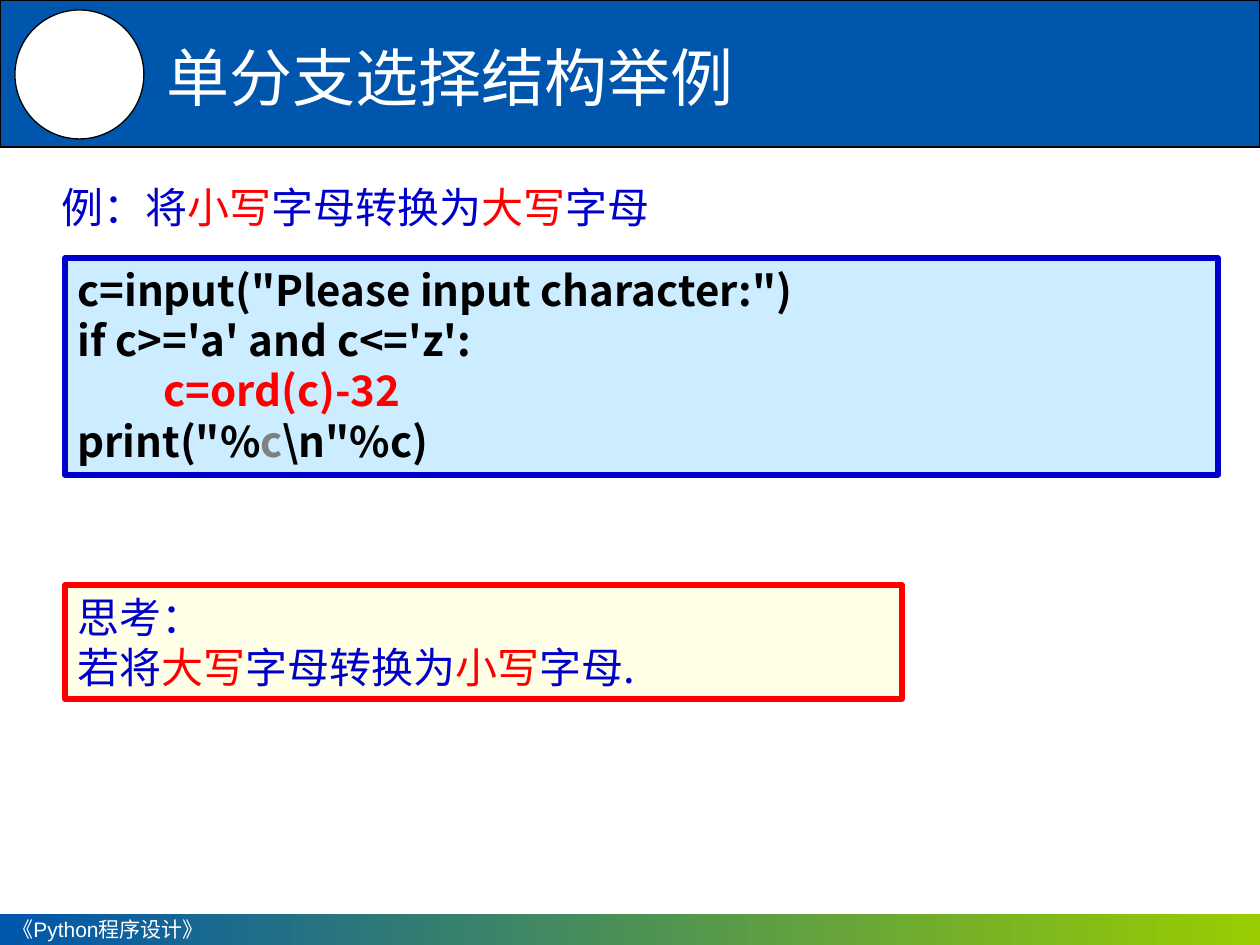
import pptx
import pptx.dml.color
import pptx.enum.shapes
import pptx.enum.text
import pptx.oxml
import pptx.oxml.ns
import pptx.util
from dataclasses import dataclass

SHAPES = pptx.enum.shapes.MSO_SHAPE
ANCHOR = pptx.enum.text.MSO_ANCHOR
PX = pptx.util.Inches(1) / 126


@dataclass(frozen=True)
class Theme:
    banner: str = "0056AC"
    green: str = "99CC00"
    white: str = "FFFFFF"
    black: str = "000000"
    blue: str = "0000CC"
    red: str = "FF0000"
    gray: str = "808080"
    code_fill: str = "CCECFF"
    question_fill: str = "FFFFE7"
    cjk_font: str = "Noto Sans CJK SC"
    latin_font: str = "Arial"
    title_size: int = 36
    body_size: int = 24
    footer_size: int = 12
    thin: float = 0.75
    thick: float = 3


def rgb(color):
    return pptx.dml.color.RGBColor.from_string(color)


class SlideBuilder:
    def __init__(self, slide, theme):
        self.slide = slide
        self.theme = theme

    def shape(self, kind, box, fill, line=None, width=0):
        """Add a preset shape; a pair of fill colours makes a gradient."""
        shape = self.slide.shapes.add_shape(kind, *(round(n * PX) for n in box))
        shape.shadow.inherit = False
        if isinstance(fill, tuple):
            shape.fill.gradient()
            shape.fill.gradient_angle = 0
            for stop, color in zip(shape.fill.gradient_stops, fill):
                stop.color.rgb = rgb(color)
        else:
            shape.fill.solid()
            shape.fill.fore_color.rgb = rgb(fill)
        if line:
            shape.line.color.rgb = rgb(line)
            shape.line.width = pptx.util.Pt(width)
        else:
            shape.line.fill.background()
        return shape

    def textbox(self, box):
        return self.slide.shapes.add_textbox(*(round(n * PX) for n in box))

    def set_text(self, shape, lines, size, font=None, bold=False,
                 anchor=ANCHOR.TOP, wrap=True):
        """Fill a shape with lines, each a list of (text, colour) runs."""
        frame = shape.text_frame
        for name, value in {"word_wrap": wrap, "vertical_anchor": anchor}.items():
            setattr(frame, name, value)
        run_format = {"size": pptx.util.Pt(size), "bold": bold,
                      "name": font or self.theme.cjk_font}
        for index, runs in enumerate(lines):
            paragraph = frame.add_paragraph() if index else frame.paragraphs[0]
            paragraph.alignment = pptx.enum.text.PP_ALIGN.LEFT
            for text, color in runs:
                run = paragraph.add_run()
                run.text = text
                for name, value in run_format.items():
                    setattr(run.font, name, value)
                run.font.color.rgb = rgb(color)
                east_asian = pptx.oxml.parse_xml(
                    f'<a:ea {pptx.oxml.ns.nsdecls("a")} '
                    f'typeface="{self.theme.cjk_font}"/>')
                run.font._element.append(east_asian)


def main():
    theme = Theme()
    presentation = pptx.Presentation()
    presentation.slide_width = pptx.util.Inches(10)
    presentation.slide_height = pptx.util.Inches(7.5)
    slide = presentation.slides.add_slide(presentation.slide_layouts[6])
    builder = SlideBuilder(slide, theme)
    blue, red, black = theme.blue, theme.red, theme.black

    builder.shape(SHAPES.RECTANGLE, (0, 0, 1260, 147), theme.banner,
                  black, theme.thin)
    footer = builder.shape(SHAPES.RECTANGLE, (0, 914, 1260, 31),
                           (theme.banner, theme.green))
    builder.set_text(footer, [[("《Python程序设计》", theme.white)]],
                     theme.footer_size, theme.latin_font, anchor=ANCHOR.MIDDLE)
    builder.shape(SHAPES.OVAL, (15, 10, 129, 129), theme.white,
                  black, theme.thin)

    code = builder.shape(SHAPES.RECTANGLE, (65, 258, 1153, 217),
                         theme.code_fill, blue, theme.thick)
    builder.set_text(code, [
        [('c=input("Please input character:")', black)],
        [("if c>='a' and c<='z':", black)],
        [("         ", black), ("c=ord(c)-32", red)],
        [('print("%', black), ("c", theme.gray), ('\\n"%c)', black)],
    ], theme.body_size, bold=True)

    example = builder.textbox((49, 175, 619, 63))
    builder.set_text(example, [[("例：将", blue), ("小写", red),
                                ("字母转换为", blue), ("大写", red),
                                ("字母", blue)]], theme.body_size, wrap=False)

    question = builder.shape(SHAPES.RECTANGLE, (65, 585, 837, 114),
                             theme.question_fill, red, theme.thick)
    builder.set_text(question, [
        [("思考：", blue)],
        [("若将", blue), ("大写", red), ("字母转换为", blue),
         ("小写", red), ("字母.", blue)],
    ], theme.body_size)

    title = builder.textbox((154, 29, 1207, 95))
    builder.set_text(title, [[("单分支选择结构举例", theme.white)]],
                     theme.title_size, anchor=ANCHOR.MIDDLE)

    presentation.save("out.pptx")


if __name__ == "__main__":
    main()
